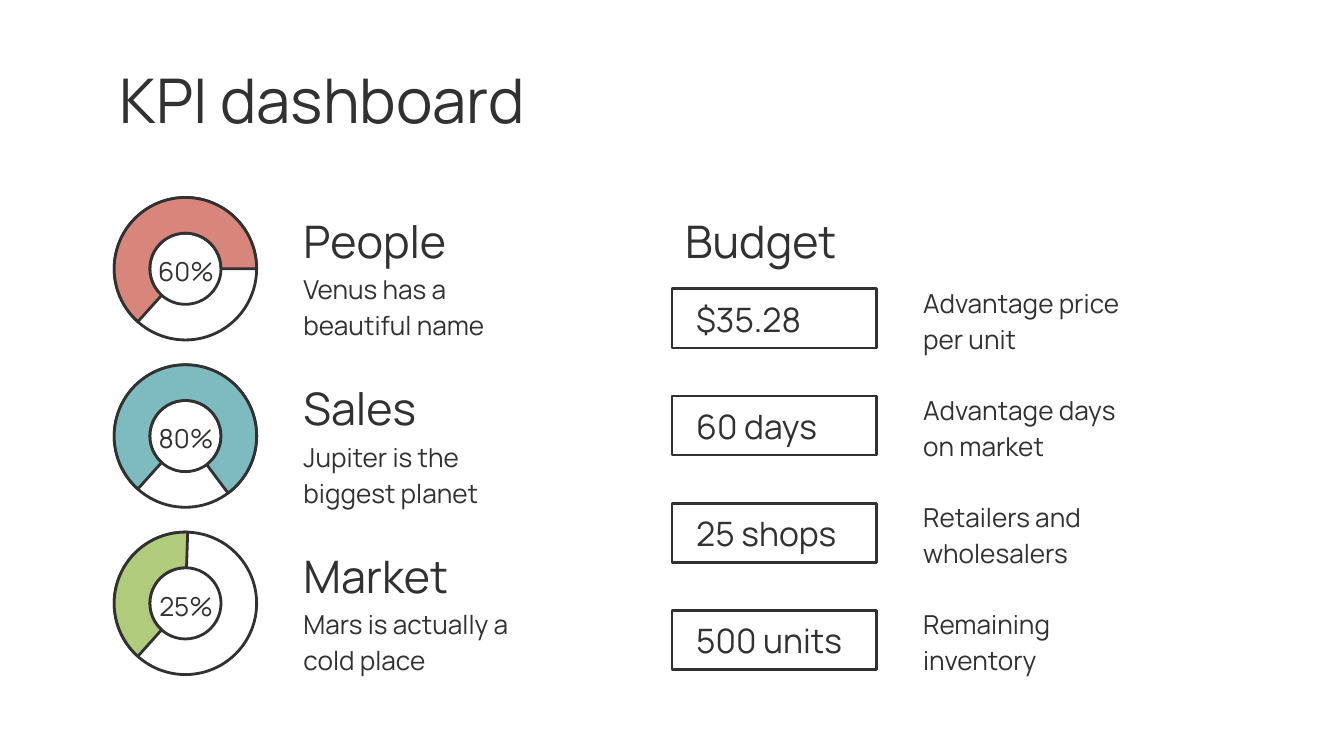
from dataclasses import dataclass

from pptx import Presentation
from pptx.dml.color import RGBColor
from pptx.enum.shapes import MSO_SHAPE as Preset
from pptx.enum.text import MSO_ANCHOR as Anchor, MSO_AUTO_SIZE as AutoSize, PP_ALIGN as Align
from pptx.util import Emu, Inches, Pt

COLORS = {"ink": "313131", "people": "D8867B", "sales": "7DBBBF", "market": "B1CB7C"}
WIDTH, HEIGHT = Inches(10), Inches(5.625)
COLUMN, ROW = WIDTH / 100, HEIGHT / 56.25
GAUGE_PITCH, BUDGET_PITCH = 12.45, 7.97
ARC_START = 131.9
DEGREE = 0.6


@dataclass(frozen=True)
class Area:
    """A rectangle in grid columns and rows."""
    left: float
    top: float
    width: float
    height: float

    def down(self, rows: float) -> "Area":
        """Return the same area moved down."""
        return Area(self.left, self.top + rows, self.width, self.height)

    def emu(self) -> tuple:
        """Return the area in slide units."""
        return (Emu(round(self.left * COLUMN)), Emu(round(self.top * ROW)),
                Emu(round(self.width * COLUMN)), Emu(round(self.height * ROW)))


@dataclass(frozen=True)
class Style:
    """How a text is set, with insets from left clockwise."""
    size: float
    spacing: float = 1.15
    anchor: Anchor = Anchor.MIDDLE
    align: Align = Align.LEFT
    insets: tuple = (1, 1, 1, 1)


@dataclass(frozen=True)
class Gauge:
    """A ring with its share, heading and note."""
    name: str
    note: str
    share: str
    color: str
    arc_end: float


@dataclass(frozen=True)
class BudgetItem:
    """A framed figure and its meaning."""
    figure: str
    meaning: str


TITLE = Style(33, 1)
HEADING = Style(24, 1, Anchor.TOP)
NOTE = Style(14)
SHARE = Style(14, align=Align.CENTER, insets=(0, 1, 0, 1))
FIGURE = Style(18, insets=(1.8, 0.6, 1, 1))

GAUGES = [
    Gauge("People", "Venus has a beautiful name", "60%", "people", 0),
    Gauge("Sales", "Jupiter is the biggest planet", "80%", "sales", 53.27),
    Gauge("Market", "Mars is actually a cold place", "25%", "market", 271.82),
]
BUDGET = [
    BudgetItem("$35.28", "Advantage price per unit"),
    BudgetItem("60 days", "Advantage days on market"),
    BudgetItem("25 shops", "Retailers and wholesalers"),
    BudgetItem("500 units", "Remaining inventory"),
]


def ink(name: str) -> RGBColor:
    """Return a named colour."""
    return RGBColor.from_string(COLORS[name])


def write(holder, text: str, style: Style) -> None:
    """Set one formatted paragraph in a shape."""
    frame = holder.text_frame
    frame.text = text
    left, top, right, bottom = (Emu(round(inset * COLUMN)) for inset in style.insets)
    paragraph = frame.paragraphs[0]
    formats = [
        (frame, {"word_wrap": True, "auto_size": AutoSize.NONE,
                 "vertical_anchor": style.anchor, "margin_left": left,
                 "margin_top": top, "margin_right": right, "margin_bottom": bottom}),
        (paragraph, {"alignment": style.align, "line_spacing": style.spacing}),
        (paragraph.runs[0].font, {"name": "Manrope", "size": Pt(style.size)}),
    ]
    for target, values in formats:
        for attribute, value in values.items():
            setattr(target, attribute, value)
    paragraph.runs[0].font.color.rgb = ink("ink")


def add_text(slide, area: Area, text: str, style: Style) -> None:
    """Place a text on the slide."""
    write(slide.shapes.add_textbox(*area.emu()), text, style)


def add_outline(slide, preset: Preset, area: Area, adjustments: tuple = (), color: str = ""):
    """Draw an outlined preset shape, filled if a colour is named."""
    outline = slide.shapes.add_shape(preset, *area.emu())
    outline.shadow.inherit = False
    for index, value in enumerate(adjustments):
        outline.adjustments[index] = value
    if color:
        outline.fill.solid()
        outline.fill.fore_color.rgb = ink(color)
    else:
        outline.fill.background()
    outline.line.color.rgb = ink("ink")
    outline.line.width = Pt(1.5)
    return outline


def add_gauge(slide, gauge: Gauge, drop: float) -> None:
    """Draw a gauge and its texts."""
    ring = Area(8.5, 14.7, 10.6, 10.6).down(drop)
    add_outline(slide, Preset.DONUT, ring, (0.25,))
    add_outline(slide, Preset.BLOCK_ARC, ring,
                (ARC_START * DEGREE, gauge.arc_end * DEGREE, 0.25), gauge.color)
    add_text(slide, Area(11.5, 17.5, 4.7, 5).down(drop), gauge.share, SHARE)
    add_text(slide, Area(21.6, 14.9, 17.7, 5.3).down(drop), gauge.name, HEADING)
    add_text(slide, Area(21.6, 20.2, 17.7, 5).down(drop), gauge.note, NOTE)


def add_budget_item(slide, item: BudgetItem, drop: float) -> None:
    """Draw a framed figure with its meaning beside it."""
    frame = add_outline(slide, Preset.RECTANGLE, Area(50, 21.5, 15.2, 4.4).down(drop))
    write(frame, item.figure, FIGURE)
    add_text(slide, Area(67.7, 21.2, 17.7, 5).down(drop), item.meaning, NOTE)


def main() -> None:
    """Build and save the dashboard."""
    deck = Presentation()
    deck.slide_width, deck.slide_height = WIDTH, HEIGHT
    slide = deck.slides.add_slide(deck.slide_layouts[5])
    title = slide.shapes.title
    title.left, title.top, title.width, title.height = Area(7.9, 4.2, 69.4, 6.3).emu()
    write(title, "KPI dashboard", TITLE)
    for row, gauge in enumerate(GAUGES):
        add_gauge(slide, gauge, row * GAUGE_PITCH)
    add_text(slide, Area(50, 14.9, 17.7, 5.3), "Budget", HEADING)
    for row, item in enumerate(BUDGET):
        add_budget_item(slide, item, row * BUDGET_PITCH)
    deck.save("out.pptx")


if __name__ == "__main__":
    main()
